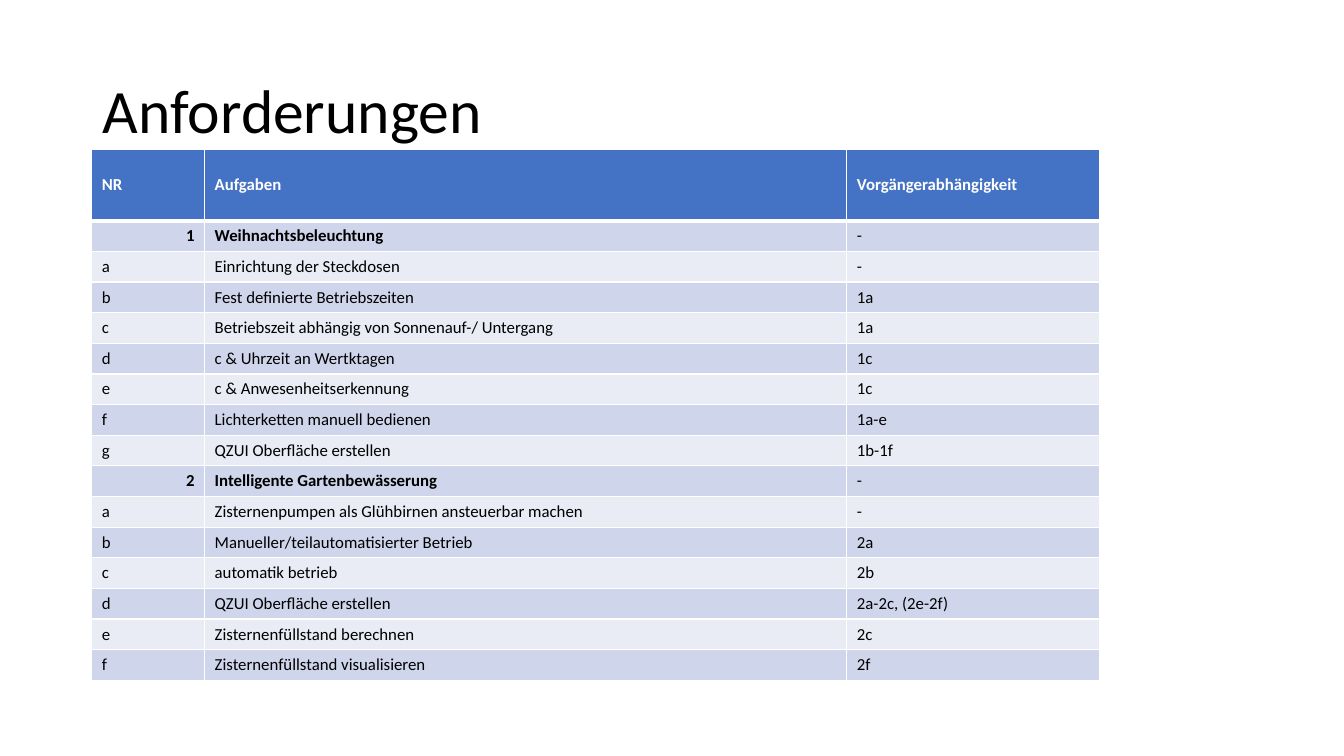
from dataclasses import dataclass

from lxml import etree
from pptx import Presentation
from pptx import util as u
from pptx.dml import color
from pptx.enum import text
from pptx.oxml import ns

COLORS = {
    "white": "FFFFFF",
    "black": "000000",
    "header": "4472C4",
    "odd": "CFD5EA",
    "even": "E9EBF5",
}
FONT = "Calibri"
COLUMN_WIDTHS = (1.12, 6.37, 2.51)
HEADER_HEIGHT = 0.71
BODY_HEIGHT = 4.56


@dataclass(frozen=True)
class Task:
    number: str
    name: str
    dependency: str

    @property
    def is_group(self) -> bool:
        return self.number.isdigit()


HEADER = Task("NR", "Aufgaben", "Vorgängerabhängigkeit")
TASKS = (
    Task("1", "Weihnachtsbeleuchtung", "-"),
    Task("a", "Einrichtung der Steckdosen", "-"),
    Task("b", "Fest definierte Betriebszeiten", "1a"),
    Task("c", "Betriebszeit abhängig von Sonnenauf-/ Untergang", "1a"),
    Task("d", "c & Uhrzeit an Wertktagen", "1c"),
    Task("e", "c & Anwesenheitserkennung", "1c"),
    Task("f", "Lichterketten manuell bedienen", "1a-e"),
    Task("g", "QZUI Oberfläche erstellen", "1b-1f"),
    Task("2", "Intelligente Gartenbewässerung", "-"),
    Task("a", "Zisternenpumpen als Glühbirnen ansteuerbar machen", "-"),
    Task("b", "Manueller/teilautomatisierter Betrieb", "2a"),
    Task("c", "automatik betrieb", "2b"),
    Task("d", "QZUI Oberfläche erstellen", "2a-2c, (2e-2f)"),
    Task("e", "Zisternenfüllstand berechnen", "2c"),
    Task("f", "Zisternenfüllstand visualisieren", "2f"),
)


def format_text(frame, size: float, ink: str, bold: bool = False) -> None:
    for para in frame.paragraphs:
        for span in para.runs:
            span.font.name = FONT
            span.font.size = u.Pt(size)
            span.font.bold = bold
            span.font.color.rgb = color.RGBColor.from_string(COLORS[ink])


def add_borders(cell, top: float, bottom: float) -> None:
    properties = cell._tc.get_or_add_tcPr()
    for side, width in (("L", 1), ("R", 1), ("T", top), ("B", bottom)):
        line = etree.SubElement(properties, ns.qn(f"a:ln{side}"), w=str(u.Pt(width)))
        fill = etree.SubElement(line, ns.qn("a:solidFill"))
        etree.SubElement(fill, ns.qn("a:srgbClr"), val=COLORS["white"])


def add_title(page, title: str) -> None:
    box = page.shapes.add_textbox(
        u.Inches(0.92), u.Inches(0.4), u.Inches(11.5), u.Inches(1.45)
    )
    box.text_frame.word_wrap = True
    box.text_frame.vertical_anchor = text.MSO_ANCHOR.MIDDLE
    box.text_frame.text = title
    box.text_frame.paragraphs[0].line_spacing = 0.9
    format_text(box.text_frame, 44, "black")


def fill_row(table, index: int, task: Task) -> None:
    is_header = index == 0
    shade = "header" if is_header else "odd" if index % 2 else "even"
    for column, value in enumerate((task.number, task.name, task.dependency)):
        cell = table.cell(index, column)
        cell.text_frame.text = value
        bold = is_header or (task.is_group and column < 2)
        format_text(cell.text_frame, 12, "white" if is_header else "black", bold)
        cell.vertical_anchor = text.MSO_ANCHOR.MIDDLE
        if task.is_group and column == 0:
            cell.text_frame.paragraphs[0].alignment = text.PP_ALIGN.RIGHT
        add_borders(cell, 3 if index == 1 else 1, 3 if is_header else 1)
        cell.fill.solid()
        cell.fill.fore_color.rgb = color.RGBColor.from_string(COLORS[shade])


def add_task_table(page) -> None:
    rows = (HEADER, *TASKS)
    row_height = BODY_HEIGHT / len(TASKS)
    table = page.shapes.add_table(
        len(rows), len(COLUMN_WIDTHS), u.Inches(0.91), u.Inches(1.48),
        u.Inches(sum(COLUMN_WIDTHS)), u.Inches(HEADER_HEIGHT + BODY_HEIGHT),
    ).table
    for column, width in zip(table.columns, COLUMN_WIDTHS):
        column.width = u.Inches(width)
    for index, task in enumerate(rows):
        table.rows[index].height = u.Inches(row_height if index else HEADER_HEIGHT)
        fill_row(table, index, task)


def main() -> None:
    deck = Presentation()
    deck.slide_width = u.Inches(13.33)
    deck.slide_height = u.Inches(7.5)
    page = deck.slides.add_slide(deck.slide_layouts[6])
    add_title(page, "Anforderungen")
    add_task_table(page)
    deck.save("out.pptx")


if __name__ == "__main__":
    main()
